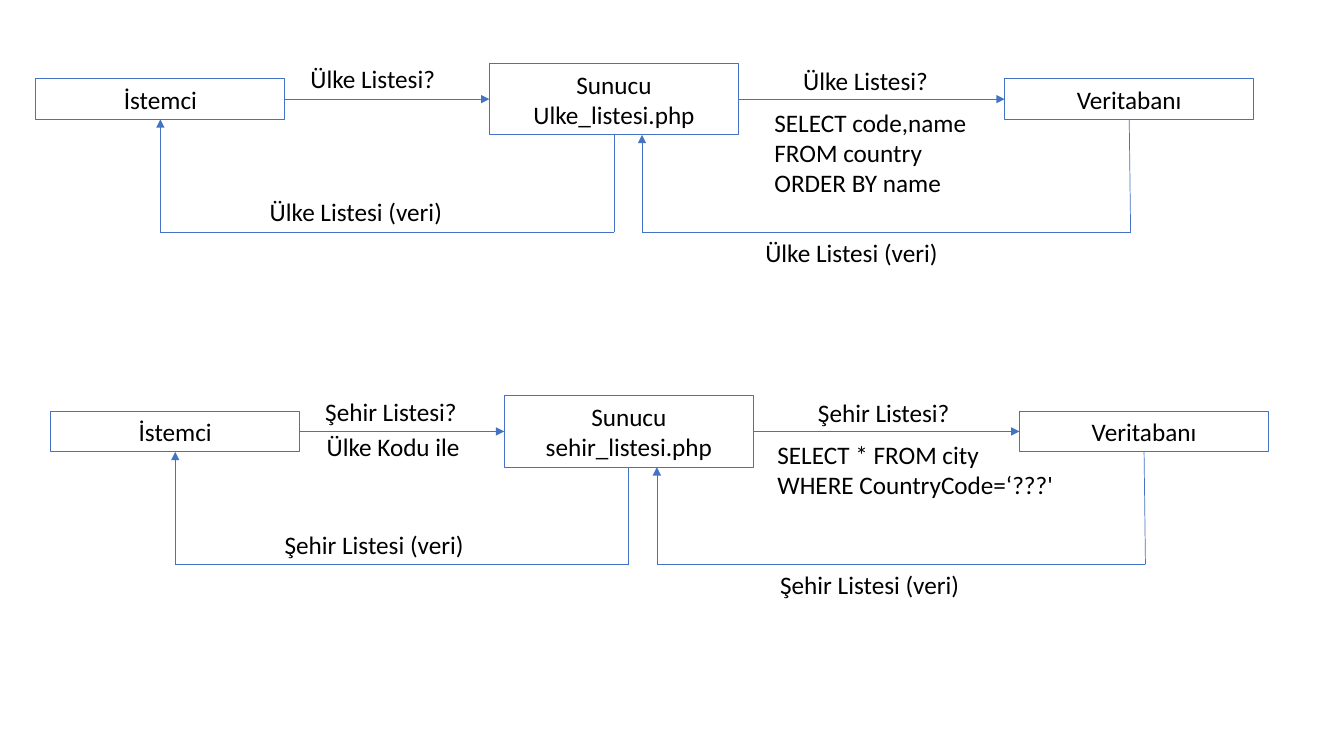
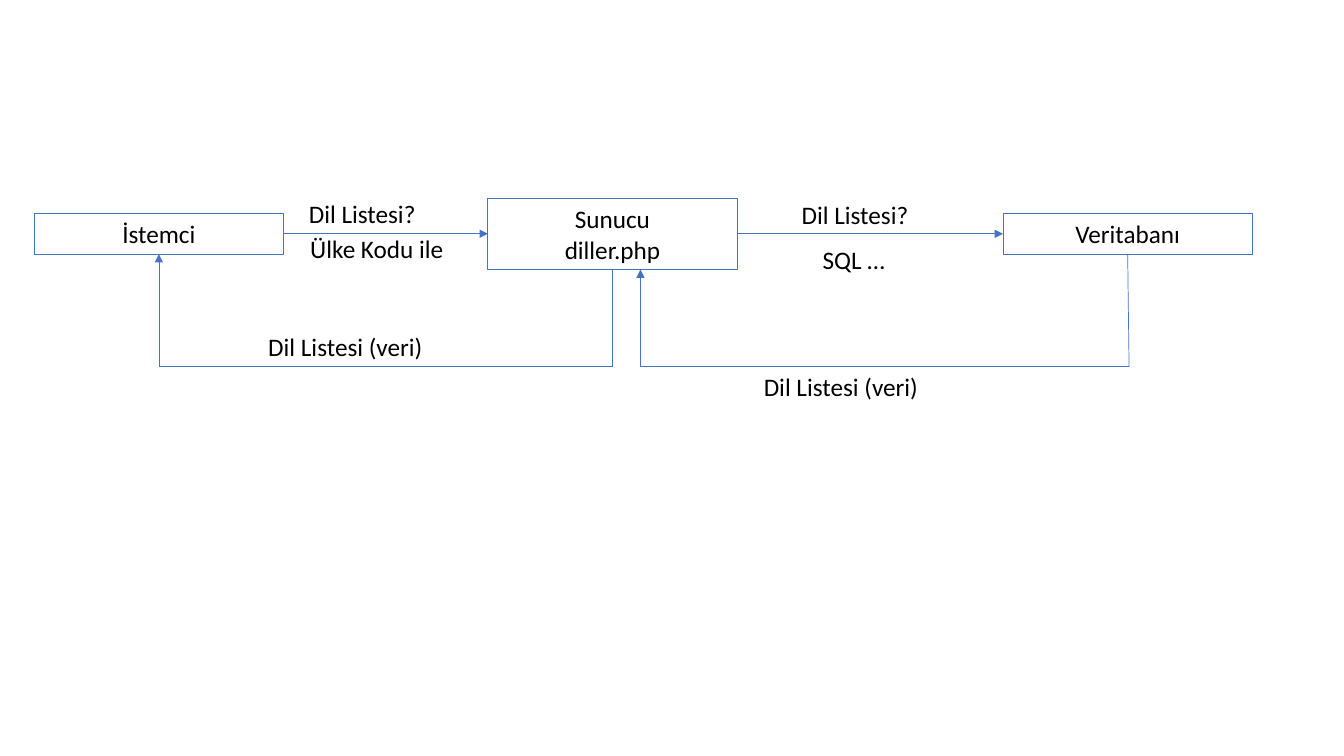
from pptx import Presentation
from pptx.dml.color import RGBColor
from pptx.enum.shapes import MSO_CONNECTOR as Connector, MSO_SHAPE as Preset
from pptx.enum.text import MSO_ANCHOR as Anchor, MSO_AUTO_SIZE as AutoSize, PP_ALIGN as Align
from pptx.oxml.ns import qn
from pptx.util import Pt
from lxml.etree import SubElement

# Shared style
BLUE = RGBColor(0x44, 0x72, 0xC4)
BLACK = RGBColor(0, 0, 0)
FONT = "Calibri"

# Geometry of one flow, in points from its left edge and its request axis
BOX_WIDTH, LOW_BOX, HIGH_BOX, LABEL_HEIGHT = 178, 29, 51, 29
CLIENT, SERVER, DATABASE = 0, 324, 692
SERVER_OUT, SERVER_IN = 413, 433
RETURN_DEPTH = 95


def write(shape, text, align=Align.LEFT, anchor=Anchor.TOP, size=18, color=BLACK):
    """Fill a shape with text, one paragraph per line."""
    frame = shape.text_frame
    frame.word_wrap = True
    frame.auto_size = AutoSize.SHAPE_TO_FIT_TEXT
    frame.vertical_anchor = anchor
    frame.text = text
    for paragraph in frame.paragraphs:
        paragraph.alignment = align
        font = paragraph.runs[0].font
        font.name, font.size, font.color.rgb = FONT, Pt(size), color


class FlowDrawer:
    """Draws client, server and database flows on the current slide."""

    def __init__(self, presentation):
        self.presentation = presentation
        self.slide = None
        self.left = self.axis = 0

    def new_slide(self):
        self.slide = self.presentation.slides.add_slide(self.presentation.slide_layouts[6])

    def place(self, x, y):
        return Pt(self.left + x), Pt(self.axis + y)

    def box(self, text, x, height):
        shape = self.slide.shapes.add_shape(
            Preset.RECTANGLE, *self.place(x, -height / 2), Pt(BOX_WIDTH), Pt(height))
        shape.shadow.inherit = False
        shape.fill.background()
        shape.line.color.rgb = BLUE
        shape.line.width = Pt(0.75)
        write(shape, text, align=Align.CENTER, anchor=Anchor.MIDDLE)

    def label(self, text, x, y, width, height=LABEL_HEIGHT):
        shape = self.slide.shapes.add_textbox(*self.place(x, y), Pt(width), Pt(height))
        write(shape, text)

    def line(self, start, end, arrow=False):
        connector = self.slide.shapes.add_connector(
            Connector.STRAIGHT, *self.place(*start), *self.place(*end))
        connector.line.color.rgb = BLUE
        connector.line.width = Pt(0.5)
        properties = connector._element.spPr
        if arrow:
            SubElement(properties.find(qn("a:ln")), qn("a:tailEnd"), type="triangle")
        SubElement(properties, qn("a:effectLst"))

    def route(self, points):
        """Join the points in order; the last stretch carries the arrowhead."""
        for index, (start, end) in enumerate(zip(points, points[1:])):
            self.line(start, end, arrow=index == len(points) - 2)

    def flow(self, left, axis, topic, page, query, query_area, reply_widths, note=None):
        self.left, self.axis = left, axis

        # Three parties
        self.box("İstemci", CLIENT, LOW_BOX)
        self.box("Sunucu\n" + page, SERVER, HIGH_BOX)
        self.box("Veritabanı", DATABASE, LOW_BOX)

        # Requests, then replies
        self.route([(CLIENT + BOX_WIDTH, 0), (SERVER, 0)])
        self.route([(SERVER + BOX_WIDTH, 0), (DATABASE, 0)])
        client_middle = CLIENT + BOX_WIDTH / 2
        database_middle = DATABASE + BOX_WIDTH / 2
        self.route([(database_middle, LOW_BOX / 2), (database_middle + 1, RETURN_DEPTH),
                    (SERVER_IN, RETURN_DEPTH), (SERVER_IN, HIGH_BOX / 2)])
        self.route([(SERVER_OUT, HIGH_BOX / 2), (SERVER_OUT, RETURN_DEPTH),
                    (client_middle, RETURN_DEPTH), (client_middle, LOW_BOX / 2)])

        # Labels
        request, reply = f"{topic} Listesi?", f"{topic} Listesi (veri)"
        self.label(request, 189, -29, 112)
        self.label(request, 541, -28, 112)
        self.label(query, *query_area)
        self.label(reply, 160, RETURN_DEPTH - LABEL_HEIGHT, reply_widths[0])
        self.label(reply, 514, RETURN_DEPTH, reply_widths[1])
        if note:
            self.label(note, 190, -3.6, 112)


presentation = Presentation()
presentation.slide_width, presentation.slide_height = Pt(960), Pt(540)
drawer = FlowDrawer(presentation)

# Slide 1: countries and cities
drawer.new_slide()
drawer.flow(25.6, 70.8, "Ülke", "Ulke_listesi.php",
            "SELECT code,name FROM country ORDER BY name",
            (520.5, 2, 161, 73), (139, 139))
drawer.flow(36.2, 308.2, "Şehir", "sehir_listesi.php",
            "SELECT * FROM city WHERE CountryCode=‘???'",
            (512, 2, 215, 51), (178, 202), note="Ülke Kodu ile")

# Slide 2: languages
drawer.new_slide()
drawer.flow(24.5, 167, "Dil", "diller.php", "SQL …",
            (556, 4.3, 114, 29), (178, 202), note="Ülke Kodu ile")

presentation.save("out.pptx")
